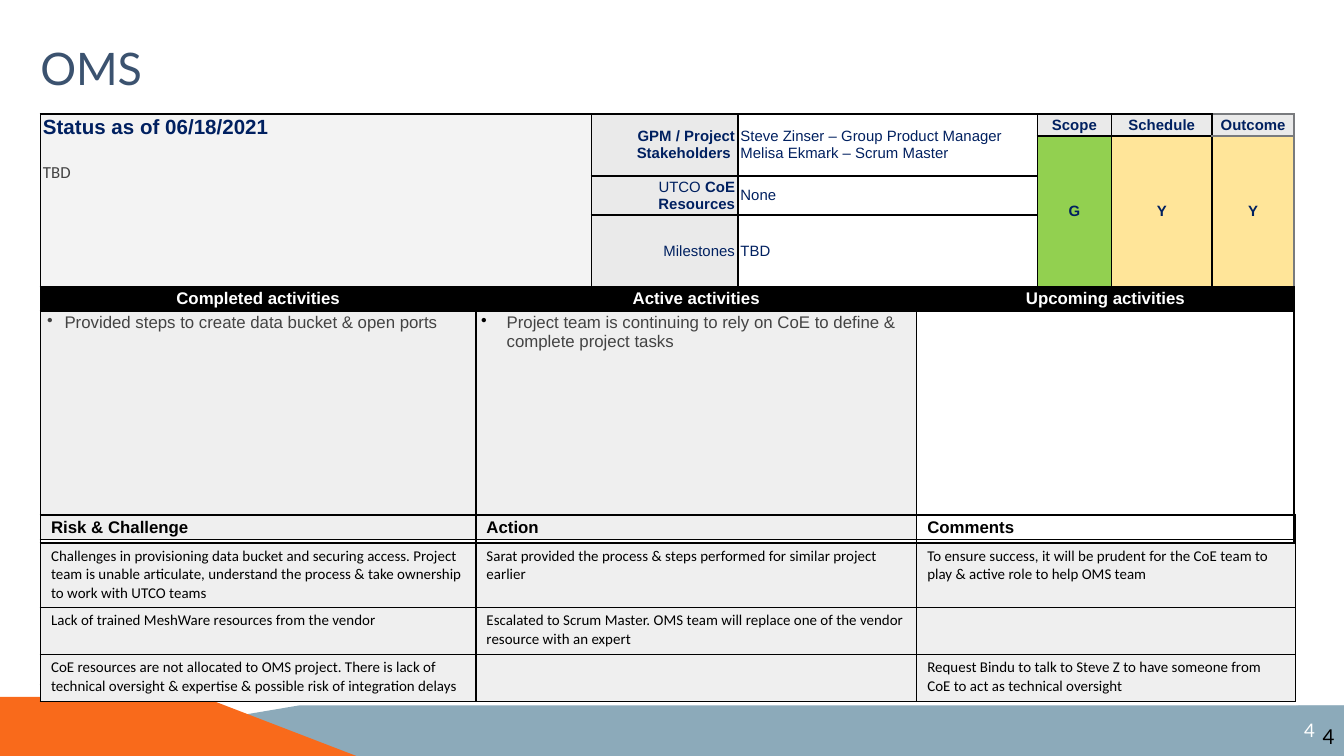
"""Build the OMS project status slide."""
from dataclasses import dataclass
from typing import NamedTuple

from lxml import etree
from pptx import Presentation
from pptx.dml.color import RGBColor
from pptx.enum.shapes import MSO_SHAPE
from pptx.enum.text import MSO_ANCHOR, PP_ALIGN
from pptx.oxml.ns import qn
from pptx.util import Inches, Pt

LEFT, CENTER, RIGHT = PP_ALIGN.LEFT, PP_ALIGN.CENTER, PP_ALIGN.RIGHT
TOP, MIDDLE = MSO_ANCHOR.TOP, MSO_ANCHOR.MIDDLE
DELAY = MSO_SHAPE.FLOWCHART_DELAY
SLIDE_WIDTH = 10
SLIDE_HEIGHT = SLIDE_WIDTH * 9 / 16


@dataclass(frozen=True)
class Theme:
    """Colours, fonts and type sizes of the slide."""
    black: str = "000000"
    white: str = "FFFFFF"
    navy: str = "002060"
    title: str = "3B526F"
    body: str = "434343"
    steel: str = "8CAABA"
    orange: str = "F96A1B"
    status: str = "F3F3F3"
    label: str = "EAEAEA"
    panel: str = "EFEFEF"
    green: str = "92D050"
    yellow: str = "FFE599"
    gray_line: str = "797B7E"
    heading_font: str = "Lato"
    table_font: str = "Arial"
    note_font: str = "Calibri"
    title_size: int = 24
    large: int = 11
    number: int = 10
    medium: int = 9
    small: int = 8


THEME = Theme()


class Run(NamedTuple):
    """A piece of text in one style."""
    text: str
    size: int = THEME.small
    color: str = THEME.navy
    bold: bool = False
    font: str = THEME.table_font


class Line(NamedTuple):
    """A paragraph with optional space before, and hanging bullet."""
    runs: tuple
    align: PP_ALIGN = LEFT
    before: float = 0
    hanging: tuple = ()
    bullet_color: str = THEME.black


class Box(NamedTuple):
    """A table cell or merged block at a grid position."""
    row: int
    column: int
    lines: tuple = ()
    fill: str = ""
    rows: int = 1
    columns: int = 1
    anchor: MSO_ANCHOR = MIDDLE
    insets: tuple = (0.02, 0.01, 0.02, 0.01)
    edges: tuple = (THEME.black,) * 4


class Grid(NamedTuple):
    """A table described by its corner, column widths and row heights."""
    left: float
    top: float
    columns: tuple
    rows: tuple
    boxes: tuple


def one_line(text: str, align=LEFT, **style) -> tuple:
    """Return a single paragraph holding a single run."""
    return (Line((Run(text, **style),), align),)


def status_boxes() -> tuple:
    """Return the cells of the status and activities grid."""
    gray = THEME.gray_line
    plain_edges, label = (THEME.black,) * 4, THEME.label
    boxes = [
        Box(0, 0, (Line((Run("Status as of 06/18/2021", THEME.large, bold=True),)),
                   Line((Run("TBD", THEME.medium, THEME.body, font=THEME.note_font),), before=13)),
            THEME.status, 4, 2, TOP),
        Box(0, 2, one_line("GPM / Project Stakeholders ", RIGHT, bold=True), label, 2),
        Box(0, 3, one_line("Steve Zinser – Group Product Manager")
            + one_line("Melisa Ekmark – Scrum Master"), THEME.white, 2, 2),
        Box(2, 2, (Line((Run("UTCO "), Run("CoE Resources", bold=True)), RIGHT),), label),
        Box(2, 3, one_line("None"), THEME.white, 1, 2),
        Box(3, 2, one_line("Milestones", RIGHT), label),
        Box(3, 3, one_line("TBD"), THEME.white, 1, 2),
        Box(5, 4, columns=4),
        Box(6, 0, columns=8),
    ]
    ratings = (("Scope", "G", THEME.green, plain_edges, plain_edges),
               ("Schedule", "Y", THEME.yellow, plain_edges, plain_edges),
               ("Outcome", "Y", THEME.yellow, (THEME.black, gray, gray, gray),
                (THEME.black, gray, gray, THEME.black)))
    for column, (name, grade, color, head_edges, edges) in enumerate(ratings, 5):
        boxes.append(Box(0, column, one_line(name, CENTER, bold=True), label,
                         insets=(0, 0.01, 0, 0.01), edges=head_edges))
        boxes.append(Box(1, column, one_line(grade, CENTER, bold=True), color, 3, edges=edges))
    for column, span, name in ((0, 1, "Completed"), (1, 3, "Active"), (4, 4, "Upcoming")):
        heading = one_line(f"{name} activities", CENTER, size=THEME.medium,
                           color=THEME.white, bold=True)
        boxes.append(Box(4, column, heading, THEME.black, 1, span))
    activities = (
        (0, 1, (0.14, -0.13), THEME.body, "Provided steps to create data bucket & open ports"),
        (1, 3, (0.19, -0.19), THEME.black,
         "Project team is continuing to rely on CoE to define & complete project tasks"))
    for column, span, hanging, color, text in activities:
        line = Line((Run(text, THEME.medium, THEME.body),), hanging=hanging, bullet_color=color)
        boxes.append(Box(5, column, (line,), THEME.panel, 1, span, TOP, (0.04, 0.02, 0.02, 0.02)))
    return tuple(boxes)


def risk_boxes() -> tuple:
    """Return the cells of the risk grid."""
    texts = (
        ("Risk & Challenge", "Action", "Comments"),
        ("Challenges in provisioning data bucket and securing access. Project team is unable "
         "articulate, understand the process & take ownership to work with UTCO teams",
         "Sarat provided the process & steps performed for similar project earlier",
         "To ensure success, it will be prudent for the CoE team to play & active role "
         "to help OMS team"),
        ("Lack of trained MeshWare resources from the vendor",
         "Escalated to Scrum Master. OMS team will replace one of the vendor resource "
         "with an expert", ""),
        ("CoE resources are not allocated to OMS project. There is lack of technical oversight "
         "& expertise & possible risk of integration delays", "",
         "Request Bindu to talk to Steve Z to have someone from CoE to act as technical oversight"))
    heading = dict(size=THEME.medium, color=THEME.black, bold=True)
    note = dict(color=THEME.black, font=THEME.note_font)
    return tuple(
        Box(row, column, one_line(text, **(note if row else heading)) if text else (),
            THEME.panel if row else "", anchor=TOP, insets=(0.08, 0.03, 0.08, 0.03))
        for row, line in enumerate(texts) for column, text in enumerate(line))


def write_lines(frame, lines: tuple) -> None:
    """Write paragraphs run by run into a text frame."""
    for index, line in enumerate(lines):
        paragraph = frame.add_paragraph() if index else frame.paragraphs[0]
        paragraph.alignment = line.align
        if line.before:
            paragraph.space_before = Pt(line.before)
        if line.hanging:
            properties = paragraph._p.get_or_add_pPr()
            for name, value in zip(("marL", "indent"), line.hanging):
                properties.set(name, str(Inches(value)))
            color = etree.SubElement(properties, qn("a:buClr"))
            etree.SubElement(color, qn("a:srgbClr"), val=line.bullet_color)
            etree.SubElement(properties, qn("a:buChar"), char="•")
        for piece in line.runs:
            run = paragraph.add_run()
            run.text = piece.text
            run.font.size, run.font.name, run.font.bold = Pt(piece.size), piece.font, piece.bold
            run.font.color.rgb = RGBColor.from_string(piece.color)


def style_cell(cell, box: Box) -> None:
    """Give a cell its insets, fill and borders."""
    cell.margin_left, cell.margin_top, cell.margin_right, cell.margin_bottom = map(
        Inches, box.insets)
    cell.vertical_anchor = box.anchor
    if box.fill:
        cell.fill.solid()
        cell.fill.fore_color.rgb = RGBColor.from_string(box.fill)
    else:
        cell.fill.background()
    properties = cell._tc.get_or_add_tcPr()
    for index, (side, color) in enumerate(zip("LRTB", box.edges)):
        border = etree.Element(qn(f"a:ln{side}"), w=str(Pt(1)))
        fill = etree.SubElement(border, qn("a:solidFill"))
        etree.SubElement(fill, qn("a:srgbClr"), val=color)
        properties.insert(index, border)
    if not cell.text_frame.text:
        ending = cell.text_frame.paragraphs[0]._p.get_or_add_endParaRPr()
        ending.set("sz", str(THEME.small * 100))


def draw_grid(slide, grid: Grid) -> None:
    """Draw a table with its merged blocks."""
    table = slide.shapes.add_table(
        len(grid.rows), len(grid.columns), Inches(grid.left), Inches(grid.top),
        Inches(sum(grid.columns)), Inches(sum(grid.rows))).table
    table.first_row = table.horz_banding = False
    for column, width in zip(table.columns, grid.columns):
        column.width = Inches(width)
    for row, height in zip(table.rows, grid.rows):
        row.height = Inches(height)
    for box in grid.boxes:
        cell = table.cell(box.row, box.column)
        last_row, last_column = box.row + box.rows, box.column + box.columns
        if box.rows * box.columns > 1:
            cell.merge(table.cell(last_row - 1, last_column - 1))
        write_lines(cell.text_frame, box.lines)
        for row in range(box.row, last_row):
            for column in range(box.column, last_column):
                style_cell(table.cell(row, column), box)


def paint(shape, color: str) -> None:
    """Fill a shape flat, without line or shadow."""
    shape.shadow.inherit = False
    shape.fill.solid()
    shape.fill.fore_color.rgb = RGBColor.from_string(color)
    shape.line.fill.background()


def draw_ribbon(slide, percents: tuple, color: str) -> None:
    """Draw a footer outline from percentages of the slide's size."""
    points = [(Inches(SLIDE_WIDTH * x / 100), Inches(SLIDE_HEIGHT * y / 100)) for x, y in percents]
    builder = slide.shapes.build_freeform(*points[0])
    builder.add_line_segments(points[1:])
    paint(builder.convert_to_shape(), color)


def draw_text(slide, area: tuple, inset: float, line: Line) -> None:
    """Draw a wrapped text box with equal insets."""
    frame = slide.shapes.add_textbox(*map(Inches, area)).text_frame
    frame.word_wrap = True
    frame.margin_left = frame.margin_right = Inches(inset)
    frame.margin_top = frame.margin_bottom = Inches(inset)
    write_lines(frame, (line,))


def main() -> None:
    """Build and save the presentation."""
    presentation = Presentation()
    presentation.slide_width, presentation.slide_height = Inches(SLIDE_WIDTH), Inches(SLIDE_HEIGHT)
    slide = presentation.slides.add_slide(presentation.slide_layouts[6])
    draw_ribbon(slide, ((0, 100), (22.3, 93.3), (100, 93.3), (100, 100)), THEME.steel)
    draw_ribbon(slide, ((0, 100), (0, 92.2), (15.1, 92.2), (26.5, 100)), THEME.orange)
    badge = slide.shapes.add_shape(DELAY, *map(Inches, (9.4, 5.25, 0.6, 0.37)))
    paint(badge, THEME.steel)
    badge._element.spPr.get_or_add_xfrm().set("flipH", "1")
    badge.text_frame.vertical_anchor = MIDDLE
    write_lines(badge.text_frame, one_line("4", CENTER, size=THEME.number, color=THEME.white,
                                           font=THEME.heading_font))
    draw_text(slide, (0.3, 0.3, 9, 0.45), 0,
              Line((Run("OMS", THEME.title_size, THEME.title, font=THEME.heading_font),)))
    draw_grid(slide, Grid(0.3, 0.85, (3.24, 0.86, 1.09, 1.33, 0.9, 0.55, 0.75, 0.61),
                          (0.16, 0.3, 0.29, 0.53, 0.18, 1.7, 1.08), status_boxes()))
    draw_grid(slide, Grid(0.3, 3.83, (3.24, 3.28, 2.82), (0.21, 0.48, 0.35, 0.35), risk_boxes()))
    draw_text(slide, (9.4, 5.32, 0.6, 0.43), 0.07,
              Line((Run("4", THEME.large, THEME.black, font=THEME.heading_font),), RIGHT))
    presentation.save("out.pptx")


if __name__ == "__main__":
    main()
